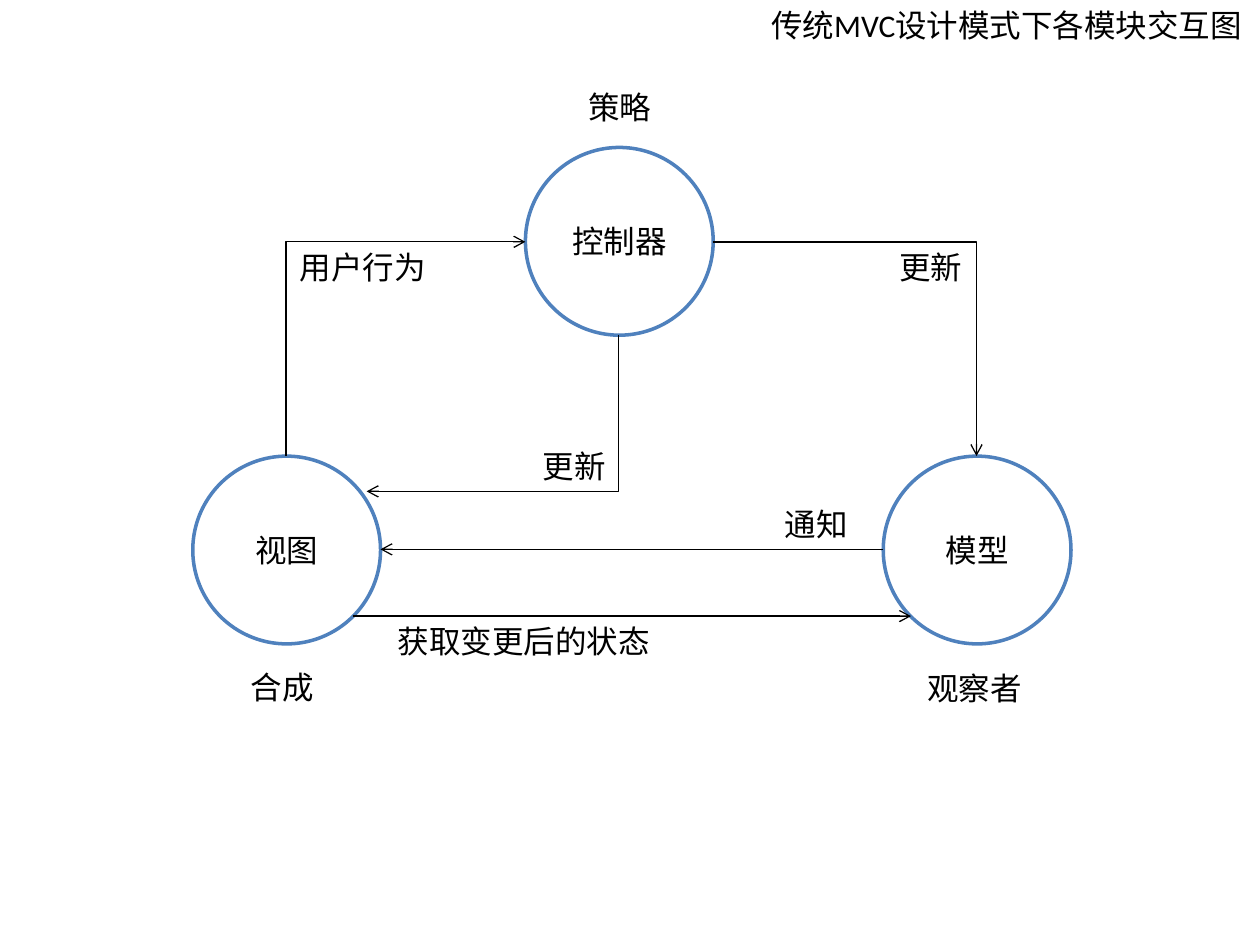
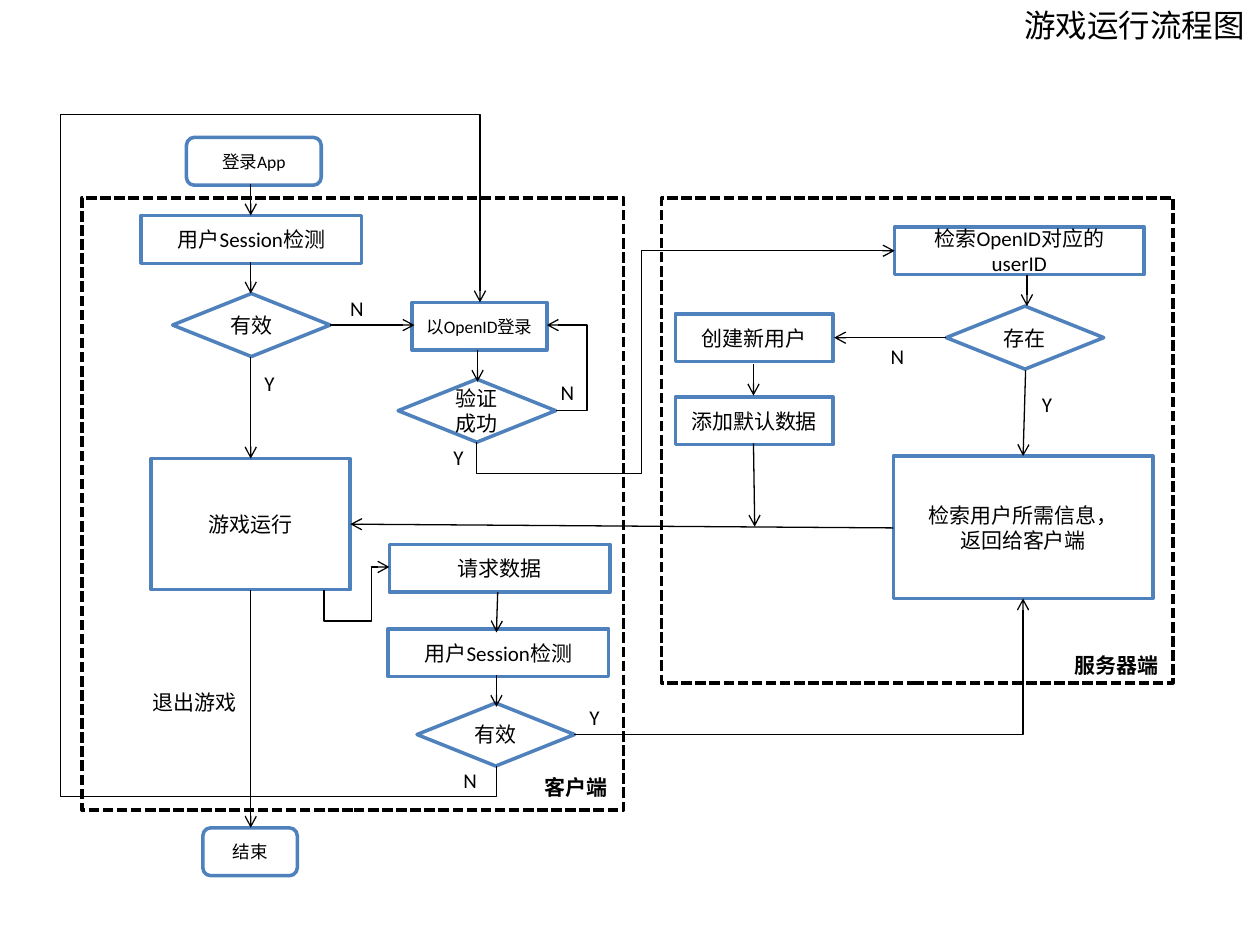
"""Build two diagrams: the MVC module interactions and the game's run-time flow."""
import pptx
import pptx.util
import pptx.dml.color
import pptx.enum.dml
import pptx.enum.shapes
import pptx.enum.text
import pptx.oxml.ns
from lxml import etree

Inches = pptx.util.Inches
Pt = pptx.util.Pt
qn = pptx.oxml.ns.qn
SHAPE = pptx.enum.shapes.MSO_SHAPE
CONNECTOR = pptx.enum.shapes.MSO_CONNECTOR
ALIGN = pptx.enum.text.PP_ALIGN
ANCHOR = pptx.enum.text.MSO_ANCHOR
AUTO_SIZE = pptx.enum.text.MSO_AUTO_SIZE

FONT = "Calibri"
HEX = {"outline": "4F81BD", "ink": "000000", "paper": "FFFFFF"}
COLOURS = {name: pptx.dml.color.RGBColor.from_string(value) for name, value in HEX.items()}


def write(frame, text, size, align, bold=False):
    """Fill a text frame with evenly formatted paragraphs."""
    frame.text = text
    for para in frame.paragraphs:
        para.alignment = align
        para.font.name = FONT
        para.font.size = Pt(size)
        para.font.bold = bold
        para.font.color.rgb = COLOURS["ink"]


def add_route(page, points):
    """Draw an arrow through right-angled points as one connector."""
    (x1, y1), (x2, y2) = points[0], points[-1]
    bends = points[1:-1]
    kind = CONNECTOR.ELBOW if bends else CONNECTOR.STRAIGHT
    line = page.shapes.add_connector(kind, Inches(x1), Inches(y1), Inches(x2), Inches(y2))
    line.line.color.rgb = COLOURS["ink"]
    line.line.width = Pt(0.75)
    properties = line._element.spPr
    etree.SubElement(properties.find(qn("a:ln")), qn("a:tailEnd"), type="arrow")
    etree.SubElement(properties, qn("a:effectLst"))
    if not bends:
        return
    dx, dy = x2 - x1, y2 - y1
    upright = bends[0][0] == x1
    if upright:
        line.left = Inches((x1 + x2 - abs(dy)) / 2)
        line.top = Inches((y1 + y2 - abs(dx)) / 2)
        line.width, line.height = Inches(abs(dy)), Inches(abs(dx))
        transform = properties.find(qn("a:xfrm"))
        transform.set("rot", "5400000")
        transform.set("flipH", str(int(dy < 0)))
        transform.set("flipV", str(int(dx > 0)))
    geometry = properties.find(qn("a:prstGeom"))
    geometry.set("prst", f"bentConnector{len(bends) + 1}")
    adjustments = geometry.find(qn("a:avLst"))
    for index, (x, y) in enumerate(bends[:-1]):
        along_y = upright == (index % 2 == 0)
        share = (y - y1) / dy if along_y else (x - x1) / dx
        etree.SubElement(adjustments, qn("a:gd"), name=f"adj{index + 1}",
                         fmla=f"val {round(share * 100000)}")


CIRCLE = (SHAPE.OVAL, 1.49, 1.49, 18)
STEP = (SHAPE.RECTANGLE, 1.75, 0.38, 12)
SHORT_STEP = (SHAPE.RECTANGLE, 1.25, 0.38, 12)
LOGIN_STEP = (SHAPE.RECTANGLE, 1.07, 0.38, 10)
LOOKUP_STEP = (SHAPE.RECTANGLE, 1.98, 0.38, 12)
REPLY_STEP = (SHAPE.RECTANGLE, 2.06, 1.13, 12)
RUN_STEP = (SHAPE.RECTANGLE, 1.58, 1.04, 12)
DECISION = (SHAPE.FLOWCHART_DECISION, 1.25, 0.5, 12)
START = (SHAPE.ROUNDED_RECTANGLE, 1.07, 0.38, 10)
FINISH = (SHAPE.ROUNDED_RECTANGLE, 0.75, 0.38, 10)

mvc = {
    "title": ("传统MVC设计模式下各模块交互图", 6.02),
    "frames": [],
    "nodes": [
        (CIRCLE, 4.17, 1.17, "控制器"),
        (CIRCLE, 1.53, 3.62, "视图"),
        (CIRCLE, 7.01, 3.62, "模型"),
    ],
    "routes": [
        [(2.27, 3.62), (2.27, 1.92), (4.17, 1.92)],
        [(4.91, 2.66), (4.91, 3.9), (2.91, 3.9)],
        [(5.66, 1.92), (7.75, 1.92), (7.75, 3.62)],
        [(7.01, 4.36), (3.02, 4.36)],
        [(2.8, 4.89), (7.23, 4.89)],
    ],
    "label_size": 18,
    "labels": [
        (2.28, 1.92, 1.21, "用户行为", False),
        (7.04, 1.92, 0.71, "更新", False),
        (4.21, 3.5, 0.71, "更新", False),
        (6.13, 3.96, 0.71, "通知", False),
        (3.06, 4.89, 2.22, "获取变更后的状态", False),
        (1.89, 5.25, 0.71, "合成", False),
        (7.26, 5.26, 0.96, "观察者", False),
        (4.57, 0.65, 0.71, "策略", False),
    ],
}

game = {
    "title": ("游戏运行流程图", 8.03),
    "frames": [(0.65, 1.57, 4.3, 4.86), (5.25, 1.57, 4.06, 3.85)],
    "nodes": [
        (START, 1.48, 1.09, "登录App"),
        (STEP, 1.12, 1.71, "用户Session检测"),
        (DECISION, 1.37, 2.33, "有效"),
        (RUN_STEP, 1.2, 3.64, "游戏运行"),
        (FINISH, 1.61, 6.57, "结束"),
        (LOGIN_STEP, 3.27, 2.4, "以OpenID登录"),
        (DECISION, 3.16, 3.01, "验证成功"),
        (STEP, 3.09, 4.32, "请求数据"),
        (STEP, 3.08, 4.99, "用户Session检测"),
        (DECISION, 3.31, 5.58, "有效"),
        (LOOKUP_STEP, 7.1, 1.8, "检索OpenID对应的userID"),
        (DECISION, 7.51, 2.43, "存在"),
        (SHORT_STEP, 5.36, 2.49, "创建新用户"),
        (SHORT_STEP, 5.36, 3.15, "添加默认数据"),
        (REPLY_STEP, 7.09, 3.62, "检索用户所需信息，\n返回给客户端"),
    ],
    "routes": [
        [(1.99, 1.46), (1.99, 1.71)],
        [(1.99, 2.08), (1.99, 2.33)],
        [(1.99, 2.83), (1.99, 3.64)],
        [(1.99, 4.68), (1.99, 6.57)],
        [(2.62, 2.58), (3.29, 2.58)],
        [(3.79, 2.78), (3.79, 3.03)],
        [(4.41, 3.26), (4.66, 3.26), (4.66, 2.58), (4.34, 2.58)],
        [(3.78, 3.51), (3.78, 3.76), (5.09, 3.76), (5.09, 1.99), (7.1, 1.99)],
        [(8.15, 2.18), (8.15, 2.43)],
        [(8.14, 2.94), (8.12, 3.62)],
        [(7.51, 2.68), (6.62, 2.68)],
        [(5.98, 2.89), (5.98, 3.14)],
        [(5.98, 3.52), (5.99, 4.18)],
        [(7.09, 4.19), (2.78, 4.16)],
        [(2.57, 4.68), (2.57, 4.93), (2.95, 4.93), (2.95, 4.5), (3.09, 4.5)],
        [(3.95, 4.7), (3.94, 5.02)],
        [(3.94, 5.36), (3.94, 5.61)],
        [(4.56, 5.83), (8.12, 5.83), (8.12, 4.75)],
        [(3.94, 6.08), (3.94, 6.32), (0.48, 6.32), (0.48, 0.91), (3.81, 0.91), (3.81, 2.4)],
    ],
    "label_size": 12,
    "labels": [
        (2, 2.89, 0.3, "Y", False),
        (2.68, 2.3, 0.31, "N", False),
        (1.11, 5.42, 0.88, "退出游戏", False),
        (4.35, 2.96, 0.31, "N", False),
        (3.5, 3.48, 0.3, "Y", False),
        (8.17, 3.06, 0.3, "Y", False),
        (6.97, 2.68, 0.31, "N", False),
        (3.58, 6.04, 0.31, "N", False),
        (4.58, 5.54, 0.3, "Y", False),
        (4.22, 6.1, 0.72, "客户端", True),
        (8.43, 5.13, 0.88, "服务器端", True),
    ],
}

deck = pptx.Presentation()
deck.slide_width, deck.slide_height = Inches(10), Inches(7.5)
title_only = deck.slide_layouts[5]

for diagram in (mvc, game):
    page = deck.slides.add_slide(title_only)

    text, left = diagram["title"]
    title = page.shapes.title
    title.left, title.top = Inches(left), Inches(0)
    title.width, title.height = Inches(10 - left), Inches(0.4)
    title.text_frame.word_wrap = True
    title.text_frame.auto_size = AUTO_SIZE.NONE
    title.text_frame.vertical_anchor = ANCHOR.TOP
    write(title.text_frame, text, 18, ALIGN.LEFT)

    for bounds in diagram["frames"]:
        border = page.shapes.add_shape(SHAPE.RECTANGLE, *map(Inches, bounds))
        border.shadow.inherit = False
        border.fill.solid()
        border.fill.fore_color.rgb = COLOURS["paper"]
        border.line.color.rgb = COLOURS["ink"]
        border.line.width = Pt(2)
        border.line.dash_style = pptx.enum.dml.MSO_LINE.SQUARE_DOT

    for (preset, width, height, size), left, top, text in diagram["nodes"]:
        node = page.shapes.add_shape(preset, *map(Inches, (left, top, width, height)))
        node.shadow.inherit = False
        node.fill.solid()
        node.fill.fore_color.rgb = COLOURS["paper"]
        node.line.color.rgb = COLOURS["outline"]
        node.line.width = Pt(2)
        node.text_frame.vertical_anchor = ANCHOR.MIDDLE
        write(node.text_frame, text, size, ALIGN.CENTER)

    for points in diagram["routes"]:
        add_route(page, points)

    size = diagram["label_size"]
    height = 0.4 if size == 18 else 0.3
    for left, top, width, text, bold in diagram["labels"]:
        box = page.shapes.add_textbox(*map(Inches, (left, top, width, height)))
        box.text_frame.word_wrap = False
        box.text_frame.auto_size = AUTO_SIZE.SHAPE_TO_FIT_TEXT
        write(box.text_frame, text, size, ALIGN.LEFT, bold)

deck.save("out.pptx")
